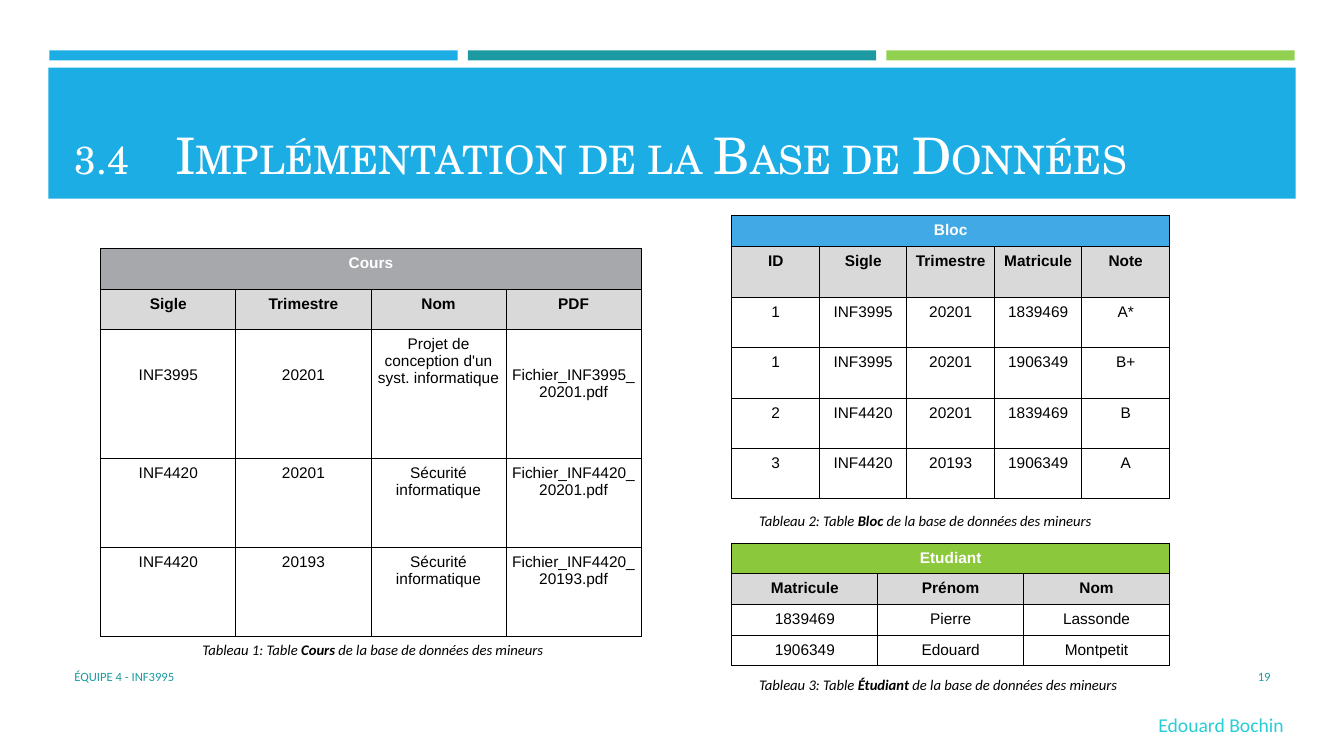
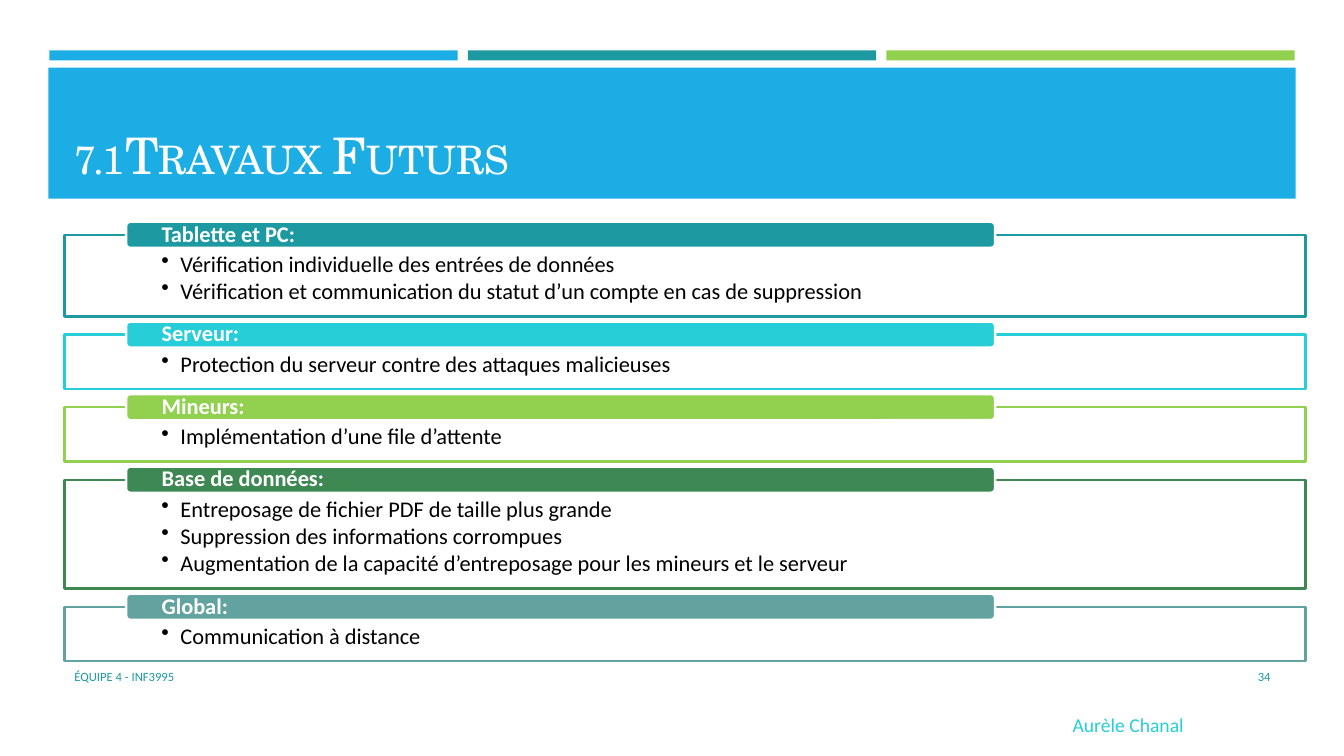
from lxml import etree
from pptx import Presentation
from pptx.dml.color import RGBColor
from pptx.enum.shapes import MSO_SHAPE
from pptx.enum.text import MSO_ANCHOR, MSO_AUTO_SIZE, PP_ALIGN
from pptx.oxml.ns import qn
from pptx.util import Pt

PX = 9144  # EMU per px, 100 px to the inch
TITLE_ONLY = 5

RECT, ROUND_RECT = MSO_SHAPE.RECTANGLE, MSO_SHAPE.ROUNDED_RECTANGLE
TOP, MIDDLE, BOTTOM = MSO_ANCHOR.TOP, MSO_ANCHOR.MIDDLE, MSO_ANCHOR.BOTTOM
LEFT, CENTER, RIGHT = PP_ALIGN.LEFT, PP_ALIGN.CENTER, PP_ALIGN.RIGHT

BLUE = RGBColor(0x1C, 0xAD, 0xE4)
TEAL = RGBColor(0x1D, 0x9A, 0xA1)
LIME = RGBColor(0x92, 0xD0, 0x50)
CYAN = RGBColor(0x27, 0xCE, 0xD7)
GREEN = RGBColor(0x3E, 0x88, 0x53)
SAGE = RGBColor(0x62, 0xA3, 0x9F)
COURS_GREY = RGBColor(0xA6, 0xA8, 0xAB)
BLOC_BLUE = RGBColor(0x41, 0xAA, 0xE6)
ETUDIANT_GREEN = RGBColor(0x8C, 0xC8, 0x3C)
HEADING_GREY = RGBColor(0xD9, 0xD9, 0xD9)
WHITE = RGBColor(0xFF, 0xFF, 0xFF)
BLACK = RGBColor(0, 0, 0)

TITLE_FONT, TEXT_FONT, TABLE_FONT = "TeX Gyre Schola", "Calibri", "Arial"


def px(*lengths):
    return [round(length * PX) for length in lengths]


def style(paragraph, size, color, font=TEXT_FONT, align=LEFT, bold=False, italic=False):
    paragraph.alignment = align
    paragraph.font.size = Pt(size)
    paragraph.font.name = font
    paragraph.font.color.rgb = color
    paragraph.font.bold = bold
    paragraph.font.italic = italic


def set_margins(target, left, top, right, bottom):
    target.margin_left, target.margin_top, target.margin_right, target.margin_bottom = px(
        left, top, right, bottom)


def add_box(slide, kind, box, fill, line=None):
    shape = slide.shapes.add_shape(kind, *px(*box))
    shape.shadow.inherit = False
    shape.fill.solid()
    shape.fill.fore_color.rgb = fill
    if line is None:
        shape.line.fill.background()
    else:
        shape.line.color.rgb = line
        shape.line.width = Pt(1.75)
    return shape


def add_label(slide, box, parts, size, color, anchor=TOP, **look):
    """Text box whose parts alternate between plain and bold."""
    frame = slide.shapes.add_textbox(*px(*box)).text_frame
    frame.word_wrap = True
    frame.vertical_anchor = anchor
    paragraph = frame.paragraphs[0]
    style(paragraph, size, color, **look)
    for index, part in enumerate(parts):
        run = paragraph.add_run()
        run.text = part
        if index % 2:
            run.font.bold = True


def build_layout(layout, slide):
    """Bands and title position, shared by every slide."""
    bands = [add_box(slide, RECT, (49 + 415 * i, 50, 405, 10), color)
             for i, color in enumerate((BLUE, TEAL, LIME))]
    bands.append(add_box(slide, RECT, (48, 67, 1237, 130), BLUE))
    for band in bands:
        layout.shapes.element.append(band.element)
    title = layout.placeholders[0]
    title.left, title.top, title.width, title.height = px(64, 77, 1206, 111)


def add_title(slide, parts, tab):
    """Small capitals: parts alternate between 28 and 36 points."""
    frame = slide.shapes.title.text_frame
    frame.auto_size = MSO_AUTO_SIZE.NONE
    frame.vertical_anchor = BOTTOM
    paragraph = frame.paragraphs[0]
    tabs = etree.SubElement(paragraph._p.get_or_add_pPr(), qn("a:tabLst"))
    etree.SubElement(tabs, qn("a:tab"), pos=str(tab * PX), algn="l")
    style(paragraph, 28, WHITE, TITLE_FONT)
    for index, part in enumerate(parts):
        run = paragraph.add_run()
        run.text = part
        if index % 2:
            run.font.size = Pt(36)


def add_footer(slide, number, speaker, speaker_left):
    add_label(slide, (64, 651, 756, 40), ["ÉQUIPE 4 - INF3995"], 9, TEAL, MIDDLE)
    add_label(slide, (1155, 651, 115, 40), [number], 9, TEAL, MIDDLE, align=RIGHT)
    add_label(slide, (speaker_left, 702, 147, 34), [speaker], 14, CYAN)


def add_borders(cell):
    properties = cell._tc.get_or_add_tcPr()
    for index, side in enumerate(("a:lnL", "a:lnR", "a:lnT", "a:lnB")):
        line = etree.Element(qn(side), w=str(Pt(0.8)))
        fill = etree.SubElement(line, qn("a:solidFill"))
        etree.SubElement(fill, qn("a:srgbClr"), val=str(BLACK))
        properties.insert(index, line)


def add_data_table(slide, box, name, name_fill, row_heights, rows):
    """Name row across the table, heading row, then the records."""
    columns = len(rows[0])
    table = slide.shapes.add_table(len(rows) + 1, columns, *px(*box)).table
    table.first_row = table.horz_banding = False
    for column in table.columns:
        column.width = box[2] * PX // columns
    for row, height in zip(table.rows, row_heights):
        row.height = height * PX
    for r, texts in enumerate([[name] + [""] * (columns - 1)] + rows):
        for c, text in enumerate(texts):
            cell = table.cell(r, c)
            set_margins(cell, 6, 6, 6, 6)
            if r < 2:
                cell.fill.solid()
                cell.fill.fore_color.rgb = HEADING_GREY if r else name_fill
            else:
                cell.fill.background()
            add_borders(cell)
            cell.text = text
            style(cell.text_frame.paragraphs[0], 11, BLACK if r else WHITE,
                  TABLE_FONT, CENTER, bold=r < 2)
    table.cell(0, 0).merge(table.cell(0, columns - 1))
    return table


def add_caption(slide, box, number, name):
    add_label(slide, box, [f"Tableau {number}: Table ", f"{name} ",
                           "de la base de données des mineurs"],
              10.5, BLACK, italic=True)


def add_topic(slide, box, heading, items, color):
    """Outlined panel with a bulleted list and a heading bar over its top edge."""
    left, top = box[:2]
    panel = add_box(slide, RECT, box, WHITE, color).text_frame
    panel.word_wrap = True
    panel.vertical_anchor = TOP
    set_margins(panel, 96, 18, 96, 12)
    for index, item in enumerate(items):
        paragraph = panel.add_paragraph() if index else panel.paragraphs[0]
        paragraph.text = item
        properties = paragraph._p.get_or_add_pPr()
        properties.set("marL", str(19 * PX))
        properties.set("indent", str(-19 * PX))
        etree.SubElement(properties, qn("a:buChar"), char="•")
        paragraph.line_spacing = 0.9
        paragraph.space_after = Pt(2)
        style(paragraph, 16, BLACK)

    bar = add_box(slide, ROUND_RECT, (left + 61, top - 13, 862, 26), color, WHITE).text_frame
    bar.vertical_anchor = MIDDLE
    set_margins(bar, 34, 0, 34, 0)
    bar.text = heading
    bar.paragraphs[0].line_spacing = 0.9
    style(bar.paragraphs[0], 16, WHITE, bold=True)


def build_database_slide(slide):
    add_title(slide, ["3.4\t", "I", "MPLÉMENTATION DE LA ", "B", "ASE DE ", "D", "ONNÉES"], 100)
    add_footer(slide, "19", "Edouard Bochin", 1139)

    add_data_table(slide, (726, 214, 434, 281), "Bloc", BLOC_BLUE, [31] + [50] * 5, [
        ["ID", "Sigle", "Trimestre", "Matricule", "Note"],
        ["1", "INF3995", "20201", "1839469", "A*"],
        ["1", "INF3995", "20201", "1906349", "B+"],
        ["2", "INF4420", "20201", "1839469", "B"],
        ["3", "INF4420", "20193", "1906349", "A"],
    ])
    add_data_table(slide, (726, 539, 434, 116), "Etudiant", ETUDIANT_GREEN, [29] * 4, [
        ["Matricule", "Prénom", "Nom"],
        ["1839469", "Pierre", "Lassonde"],
        ["1906349", "Edouard", "Montpetit"],
    ])
    cours = add_data_table(slide, (100, 247, 536, 384), "Cours", COURS_GREY,
                           [40, 40, 128, 88, 88], [
        ["Sigle", "Trimestre", "Nom", "PDF"],
        ["INF3995", "20201", "Projet de conception d'un syst. informatique",
         "Fichier_INF3995_20201.pdf"],
        ["INF4420", "20201", "Sécurité informatique", "Fichier_INF4420_20201.pdf"],
        ["INF4420", "20193", "Sécurité informatique", "Fichier_INF4420_20193.pdf"],
    ])
    # The first record sits lower, except for the course name
    for column in (0, 1, 3):
        cours.cell(2, column).margin_top = 37 * PX

    add_caption(slide, (191, 631, 401, 28), 1, "Cours")
    add_caption(slide, (743, 503, 391, 28), 2, "Bloc")
    add_caption(slide, (743, 666, 419, 28), 3, "Étudiant")


def build_future_work_slide(slide):
    add_title(slide, ["7.1\t", "T", "RAVAUX ", "F", "UTURS"], 50)
    add_footer(slide, "34", "Aurèle Chanal", 1054)
    topics = [
        ("Tablette et PC:", TEAL, [
            "Vérification individuelle des entrées de données",
            "Vérification et communication du statut d’un compte en cas de suppression"]),
        ("Serveur:", CYAN, ["Protection du serveur contre des attaques malicieuses"]),
        ("Mineurs:", LIME, ["Implémentation d’une file d’attente"]),
        ("Base de données:", GREEN, [
            "Entreposage de fichier PDF de taille plus grande",
            "Suppression des informations corrompues",
            "Augmentation de la capacité d’entreposage pour les mineurs et le serveur"]),
        ("Global:", SAGE, ["Communication à distance"]),
    ]
    top = 233
    for heading, color, items in topics:
        height = 27 * (len(items) + 1)
        add_topic(slide, (64, top, 1231, height), heading, items, color)
        top += height + 18


def main():
    prs = Presentation()
    prs.slide_width, prs.slide_height = px(1333, 750)
    layout = prs.slide_layouts[TITLE_ONLY]
    database, future_work = (prs.slides.add_slide(layout) for _ in range(2))
    build_layout(layout, database)
    build_database_slide(database)
    build_future_work_slide(future_work)
    prs.save("out.pptx")


if __name__ == "__main__":
    main()
